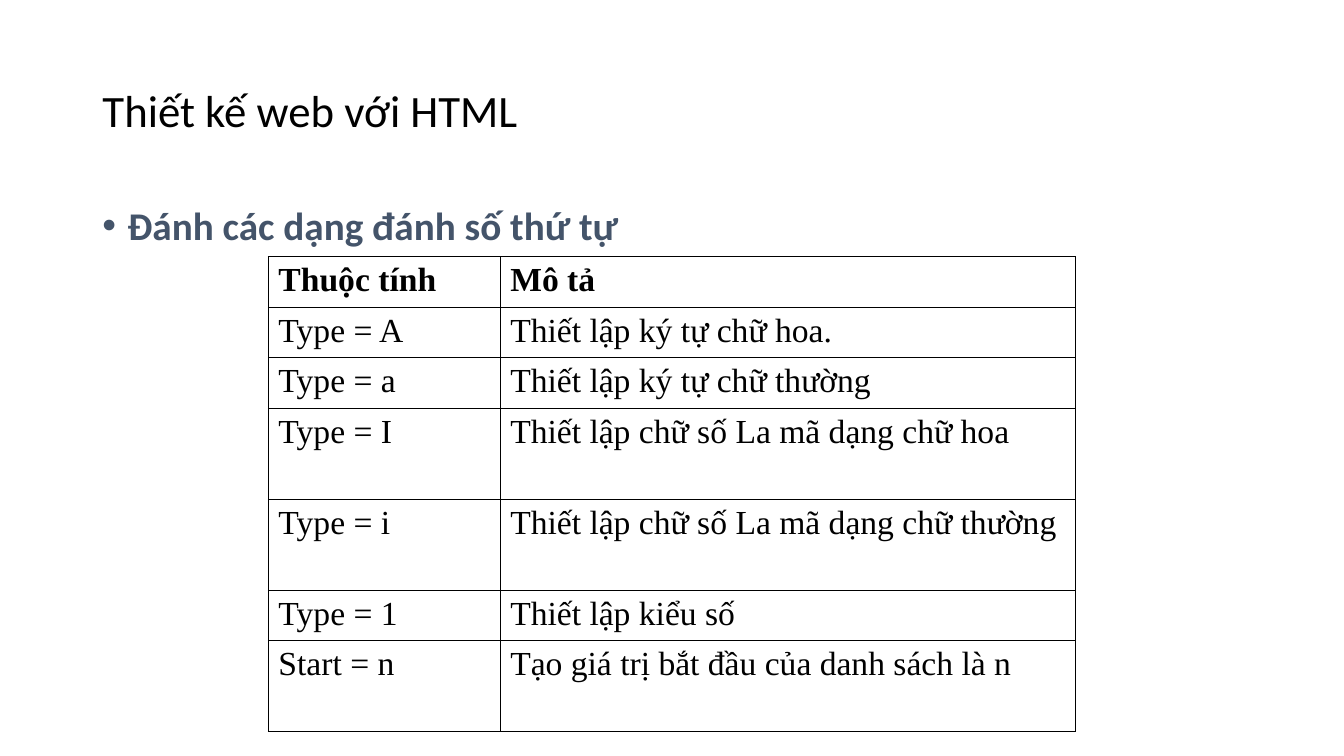
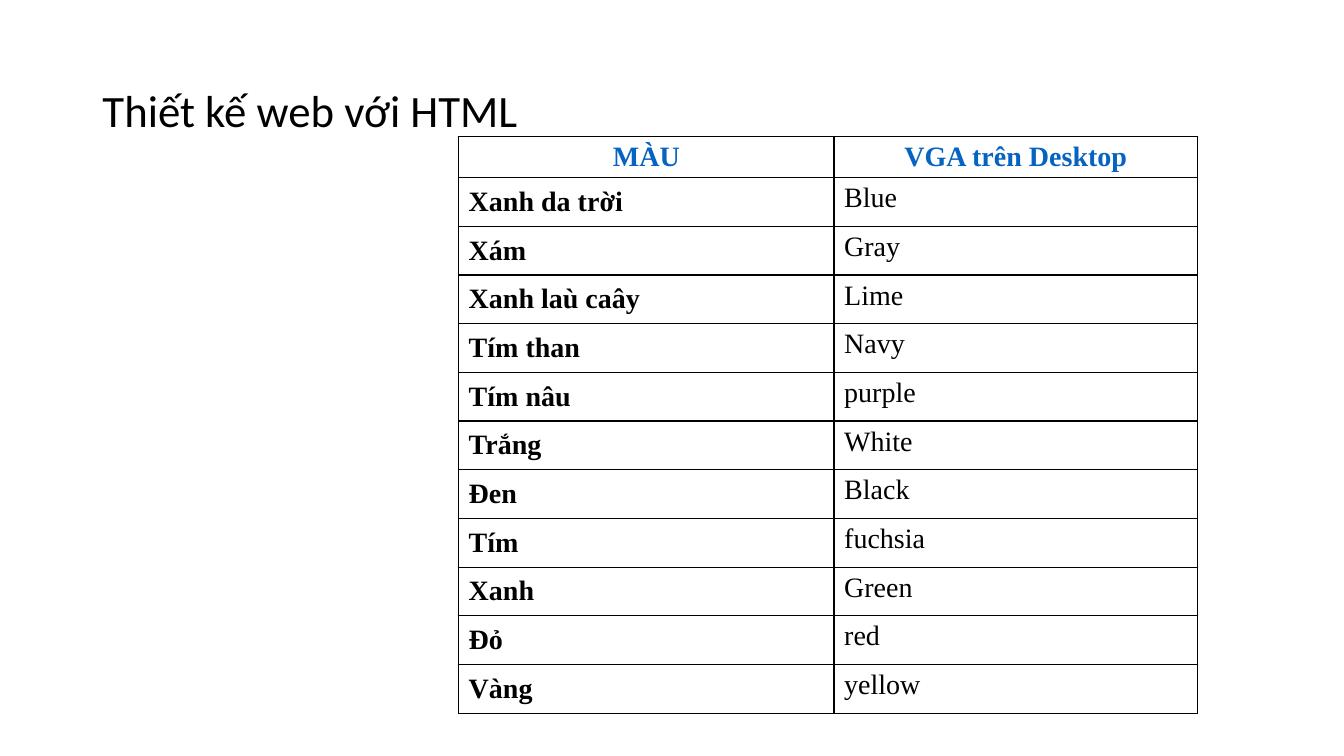
from pptx import Presentation
from pptx.dml.color import RGBColor
from pptx.enum import text as tx
from pptx.oxml import ns, parse_xml
from pptx.util import Pt

# Shared style
BLACK, SLATE, BLUE = "000000", "44546A", "0563C1"
SANS, SERIF = "Calibri", "Times New Roman"
MARGIN, CONTENT_WIDTH = 66, 828
TITLE = "Thiết kế web với HTML"
LEFT, CENTER = tx.PP_ALIGN.LEFT, tx.PP_ALIGN.CENTER
TOP, MIDDLE = tx.MSO_ANCHOR.TOP, tx.MSO_ANCHOR.MIDDLE

# Content
NUMBERING = [
    ("Thuộc tính", "Mô tả"),
    ("Type = A", "Thiết lập ký tự chữ hoa."),
    ("Type = a", "Thiết lập ký tự chữ thường"),
    ("Type = I", "Thiết lập chữ số La mã dạng chữ hoa"),
    ("Type = i", "Thiết lập chữ số La mã dạng chữ thường"),
    ("Type = 1", "Thiết lập kiểu số"),
    ("Start = n", "Tạo giá trị bắt đầu của danh sách là n"),
]
COLOURS = [
    ("MÀU", "VGA trên Desktop"),
    ("Xanh da trời", "Blue"),
    ("Xám", "Gray"),
    ("Xanh laù caây", "Lime"),
    ("Tím than", "Navy"),
    ("Tím nâu", "purple"),
    ("Trắng", "White"),
    ("Đen", "Black"),
    ("Tím", "fuchsia"),
    ("Xanh", "Green"),
    ("Đỏ", "red"),
    ("Vàng", "yellow"),
]


def rgb(value):
    return RGBColor.from_string(value)


def write(frame, words, size, font, color=BLACK, bold=False, align=LEFT):
    """Put one formatted paragraph in a text frame and return it."""
    frame.text = words
    paragraph = frame.paragraphs[0]
    paragraph.alignment = align
    for run in paragraph.runs:
        run.font.size, run.font.name, run.font.bold = Pt(size), font, bold
        run.font.color.rgb = rgb(color)
    return paragraph


def add_titled_slide(prs):
    slide = prs.slides.add_slide(prs.slide_layouts[5])
    title = slide.shapes.title
    title.left, title.top = Pt(MARGIN), Pt(28.8)
    title.width, title.height = Pt(CONTENT_WIDTH), Pt(104.4)
    title.text_frame.vertical_anchor = MIDDLE
    write(title.text_frame, TITLE, 32, SANS).line_spacing = 0.9
    return slide


def add_bullet(slide, words, top, height):
    box = slide.shapes.add_textbox(Pt(MARGIN), Pt(top), Pt(CONTENT_WIDTH), Pt(height))
    box.text_frame.word_wrap = True
    paragraph = write(box.text_frame, words, 28, SANS, SLATE, bold=True)
    paragraph.line_spacing = 0.9
    properties = paragraph._p.get_or_add_pPr()
    properties.set("marL", str(Pt(18)))
    properties.set("indent", str(-Pt(18)))
    for bullet in ('buFont {} typeface="Arial"', 'buChar {} char="•"'):
        properties.append(parse_xml(f"<a:{bullet.format(ns.nsdecls('a'))}/>"))


def outline(cell):
    """Draw a thin black line on each side of a cell."""
    properties = cell._tc.get_or_add_tcPr()
    for side in "LRTB":
        properties.append(parse_xml(
            f'<a:ln{side} {ns.nsdecls("a")} w="{Pt(1)}"><a:solidFill>'
            f'<a:srgbClr val="{BLACK}"/></a:solidFill></a:ln{side}>'))


def add_grid(slide, rows, left, top, widths, heights, size,
             head_color=BLACK, head_align=LEFT, bold_labels=False):
    grid = slide.shapes.add_table(len(rows), len(widths), Pt(left), Pt(top),
                                  Pt(sum(widths)), Pt(sum(heights))).table
    grid.first_row = grid.horz_banding = False
    for column, width in zip(grid.columns, widths):
        column.width = Pt(width)
    for r, (row, height) in enumerate(zip(rows, heights)):
        grid.rows[r].height = Pt(height)
        head = r == 0
        for c, words in enumerate(row):
            cell = grid.cell(r, c)
            label = bold_labels and c == 0
            outline(cell)
            cell.fill.background()
            cell.vertical_anchor = MIDDLE if label and not head else TOP
            write(cell.text_frame, words, size, SERIF,
                  color=head_color if head else BLACK,
                  bold=head or label,
                  align=head_align if head else LEFT)


def main():
    prs = Presentation()
    prs.slide_width, prs.slide_height = Pt(960), Pt(540)

    # Numbering types of ordered lists
    numbering = add_titled_slide(prs)
    add_bullet(numbering, "Đánh các dạng đánh số thứ tự", 144, 342.7)
    short, tall = 36, 65
    add_grid(numbering, NUMBERING, 191.7, 183.5, [165.6, 411],
             [short, short, short, tall, tall, short, tall], 24)

    # Colour names
    colours = add_titled_slide(prs)
    add_grid(colours, COLOURS, 327.6, 97.4, [268.2, 259.6],
             [29.3] + [34.8] * (len(COLOURS) - 1), 20,
             head_color=BLUE, head_align=CENTER, bold_labels=True)

    prs.save("out.pptx")


if __name__ == "__main__":
    main()
